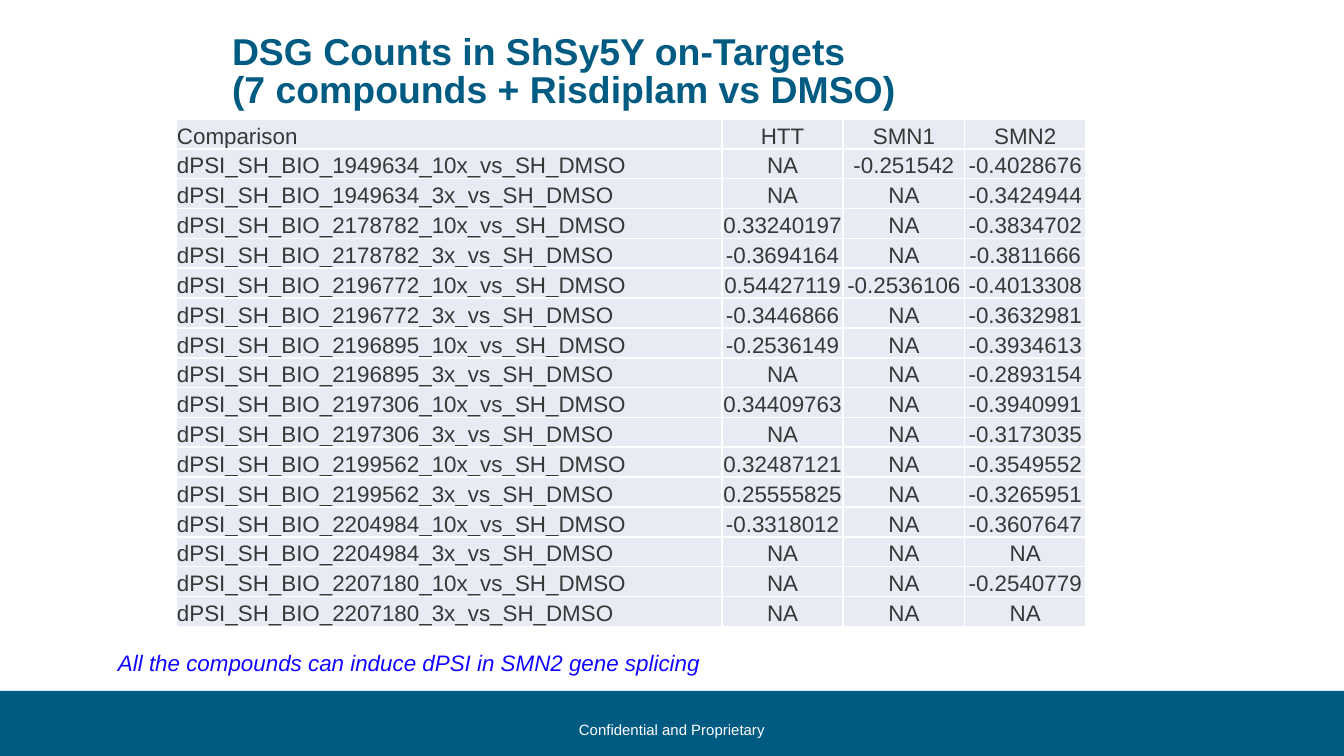
from lxml.etree import SubElement
from pptx import Presentation
from pptx.dml.color import RGBColor
from pptx.enum.shapes import MSO_SHAPE
from pptx.enum.text import MSO_ANCHOR, MSO_AUTO_SIZE, PP_ALIGN
from pptx.oxml.ns import qn
from pptx.util import Pt

EMU_PER_PX = 914400 / 134.4
PAGE_WIDTH, PAGE_HEIGHT = 1344, 756
FONT = "Arial"
TEAL, BLUE, GREY, PALE, WHITE = "005B82", "1206FF", "363838", "E8EBF3", "FFFFFF"

GENES = ["HTT", "SMN1", "SMN2"]
# Each compound has its 10x values, then its 3x values.
COMPOUNDS = {
    "1949634": (["NA", "-0.251542", "-0.4028676"], ["NA", "NA", "-0.3424944"]),
    "2178782": (["0.33240197", "NA", "-0.3834702"], ["-0.3694164", "NA", "-0.3811666"]),
    "2196772": (["0.54427119", "-0.2536106", "-0.4013308"], ["-0.3446866", "NA", "-0.3632981"]),
    "2196895": (["-0.2536149", "NA", "-0.3934613"], ["NA", "NA", "-0.2893154"]),
    "2197306": (["0.34409763", "NA", "-0.3940991"], ["NA", "NA", "-0.3173035"]),
    "2199562": (["0.32487121", "NA", "-0.3549552"], ["0.25555825", "NA", "-0.3265951"]),
    "2204984": (["-0.3318012", "NA", "-0.3607647"], ["NA", "NA", "NA"]),
    "2207180": (["NA", "NA", "-0.2540779"], ["NA", "NA", "NA"]),
}


def px(length):
    return round(length * EMU_PER_PX)


def color(value):
    return RGBColor.from_string(value)


def style_text(frame, size, text_color, bold=False, italic=False,
               align=PP_ALIGN.LEFT, line_spacing=None):
    for para in frame.paragraphs:
        para.alignment = align
        if line_spacing:
            para.line_spacing = line_spacing
        for span in para.runs:
            span.font.name = FONT
            span.font.size = Pt(size)
            span.font.bold = bold
            span.font.italic = italic
            span.font.color.rgb = color(text_color)


def set_frame(frame, insets, anchor, wrap=True):
    """Set insets (left, top, right, bottom), anchor and wrapping."""
    (frame.margin_left, frame.margin_top,
     frame.margin_right, frame.margin_bottom) = map(px, insets)
    frame.vertical_anchor = anchor
    frame.word_wrap = wrap
    frame.auto_size = MSO_AUTO_SIZE.NONE


def add_text(page, box, text):
    frame = page.shapes.add_textbox(*map(px, box)).text_frame
    frame.text = text
    return frame


def add_footer(page, box):
    left, top, width, height = box
    band = page.shapes.add_shape(MSO_SHAPE.RECTANGLE, *map(px, box))
    band.shadow.inherit = False
    band.fill.solid()
    band.fill.fore_color.rgb = color(TEAL)
    band.line.fill.background()

    label_width = 216
    label_box = (left + (width - label_width) // 2, top + 23, label_width, 32)
    frame = add_text(page, label_box, "Confidential and Proprietary")
    set_frame(frame, (13, 7, 13, 7), MSO_ANCHOR.MIDDLE, wrap=False)
    style_text(frame, 8, WHITE, align=PP_ALIGN.CENTER)


def add_borders(cell, line_color, width):
    properties = cell._tc.get_or_add_tcPr()
    for side in ("a:lnL", "a:lnR", "a:lnT", "a:lnB"):
        line = SubElement(properties, qn(side), w=str(Pt(width)))
        fill = SubElement(line, qn("a:solidFill"))
        SubElement(fill, qn("a:srgbClr"), val=line_color)


def fill_cell(cell, text, align):
    add_borders(cell, WHITE, 1)
    cell.fill.solid()
    cell.fill.fore_color.rgb = color(PALE)
    cell.vertical_anchor = MSO_ANCHOR.BOTTOM
    cell.margin_left = cell.margin_top = cell.margin_right = px(1)
    cell.margin_bottom = 0
    cell.text_frame.text = text
    style_text(cell.text_frame, 12, GREY, align=align)


def add_counts_table(page, box):
    rows = [["Comparison", *GENES]]
    for compound, doses in COMPOUNDS.items():
        for dose, values in zip(("10x", "3x"), doses):
            rows.append([f"dPSI_SH_BIO_{compound}_{dose}_vs_SH_DMSO", *values])

    width, height = box[2:]
    name_width = 546
    table = page.shapes.add_table(len(rows), len(rows[0]), *map(px, box)).table
    table.first_row = table.horz_banding = False
    table.columns[0].width = px(name_width)
    for index in range(1, len(rows[0])):
        table.columns[index].width = px((width - name_width) / len(GENES))
    for row_index, values in enumerate(rows):
        table.rows[row_index].height = px(height / len(rows))
        for column_index, value in enumerate(values):
            align = PP_ALIGN.CENTER if column_index else PP_ALIGN.LEFT
            fill_cell(table.cell(row_index, column_index), value, align)


def place_title(page, box):
    title = page.shapes.title
    title.left, title.top, title.width, title.height = map(px, box)
    frame = title.text_frame
    frame.text = "DSG Counts in ShSy5Y on-Targets\v(7 compounds + Risdiplam vs DMSO)"
    set_frame(frame, (13, 7, 0, 7), MSO_ANCHOR.TOP)
    style_text(frame, 20, TEAL, bold=True, line_spacing=0.85)


def add_note(page, box):
    frame = add_text(page, box, "All the compounds can induce dPSI in SMN2 gene splicing")
    set_frame(frame, (13, 7, 0, 7), MSO_ANCHOR.TOP)
    style_text(frame, 12, BLUE, italic=True, line_spacing=0.85)


def main():
    deck = Presentation()
    deck.slide_width, deck.slide_height = px(PAGE_WIDTH), px(PAGE_HEIGHT)
    page = deck.slides.add_slide(deck.slide_layouts[5])
    add_footer(page, (0, 691, PAGE_WIDTH, 65))
    add_counts_table(page, (176, 119, 910, 508))
    place_title(page, (219, 28, 813, 91))
    add_note(page, (105, 646, 1009, 56))
    deck.save("out.pptx")


if __name__ == "__main__":
    main()
